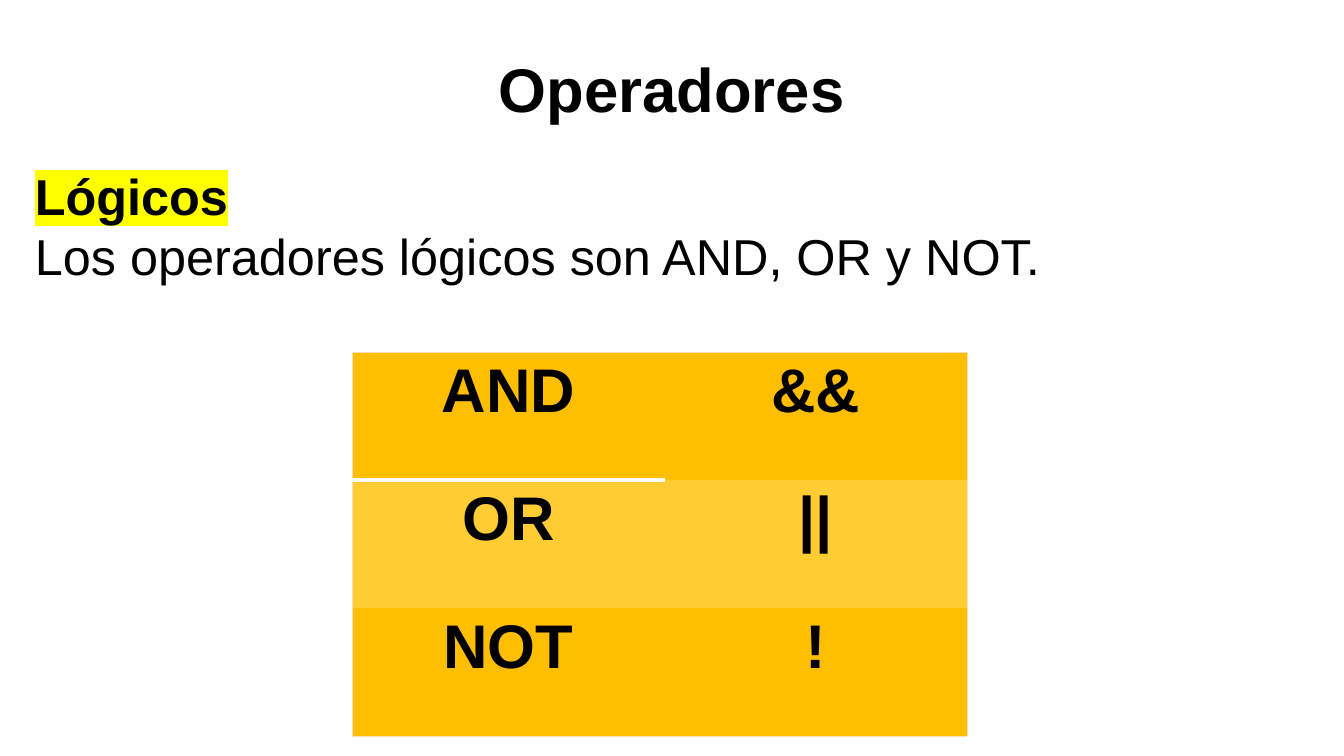
from dataclasses import dataclass

from lxml import etree
from pptx import Presentation
from pptx import util as u
from pptx.dml import color
from pptx.enum import text
from pptx.oxml import ns


@dataclass(frozen=True)
class Theme:
    """Colours, font and type sizes of the slide."""
    font: str = "Arial"
    ink: str = "000000"
    marker: str = "FFFF00"
    amber: str = "FFBF00"
    light_amber: str = "FFCC33"
    frame: str = "FBDDB7"
    divider: str = "FFFFFF"
    large: int = 44
    body: int = 36


theme = Theme()
PX = 914400 / 100.8


def px(*lengths):
    """Turn picture pixels into EMU."""
    return [u.Emu(round(length * PX)) for length in lengths]


def write(paragraph, words, size=theme.body, bold=False, align=text.PP_ALIGN.LEFT,
          highlight=None):
    """Add formatted words to a paragraph."""
    paragraph.alignment = align
    run = paragraph.add_run()
    run.text = words
    run.font.name = theme.font
    run.font.size = u.Pt(size)
    run.font.bold = bold
    run.font.color.rgb = color.RGBColor.from_string(theme.ink)
    if highlight:
        mark = etree.Element(ns.qn("a:highlight"))
        etree.SubElement(mark, ns.qn("a:srgbClr"), val=highlight)
        run.font._element.find(ns.qn("a:latin")).addprevious(mark)


deck = Presentation()
deck.slide_width, deck.slide_height = px(1344, 756)
slide = deck.slides.add_slide(deck.slide_layouts[6])

# Heading and explanation
heading = slide.shapes.add_textbox(*px(0, 46, 1344, 85)).text_frame
explanation = slide.shapes.add_textbox(*px(25, 160, 1297, 383)).text_frame
heading.word_wrap = explanation.word_wrap = True
write(heading.paragraphs[0], "Operadores", size=theme.large, bold=True,
      align=text.PP_ALIGN.CENTER)
write(explanation.paragraphs[0], "Lógicos", bold=True, highlight=theme.marker)
write(explanation.add_paragraph(), "Los operadores lógicos son AND, OR y NOT.")

# Operators and their symbols
operators = [("AND", "&&"), ("OR", "||"), ("NOT", "!")]
last_row = len(operators) - 1
grid = slide.shapes.add_table(len(operators), 2, *px(352, 352, 615, 384)).table
grid.first_row = grid.horz_banding = False
for column, width in zip(grid.columns, px(313, 302)):
    column.width = width

for r, pair in enumerate(operators):
    grid.rows[r].height = px(128)[0]
    for c, label in enumerate(pair):
        cell = grid.cell(r, c)
        write(cell.text_frame.paragraphs[0], label, size=theme.large, bold=True,
              align=text.PP_ALIGN.CENTER)

        outer = {"lnL": c == 0, "lnR": c == 1, "lnT": r == 0, "lnB": r == last_row}
        divided = {("lnB", 0, 0), ("lnT", 1, 0)}
        properties = cell._tc.get_or_add_tcPr()
        for side, framed in outer.items():
            is_divider = (side, r, c) in divided
            width = u.Pt(3 if is_divider else 0.75)
            border = etree.SubElement(properties, ns.qn(f"a:{side}"), w=str(width))
            if framed or is_divider:
                paint = etree.SubElement(border, ns.qn("a:solidFill"))
                etree.SubElement(paint, ns.qn("a:srgbClr"),
                                 val=theme.divider if is_divider else theme.frame)
            else:
                etree.SubElement(border, ns.qn("a:noFill"))

        cell.fill.solid()
        cell.fill.fore_color.rgb = color.RGBColor.from_string(
            theme.light_amber if r % 2 else theme.amber)

deck.save("out.pptx")
